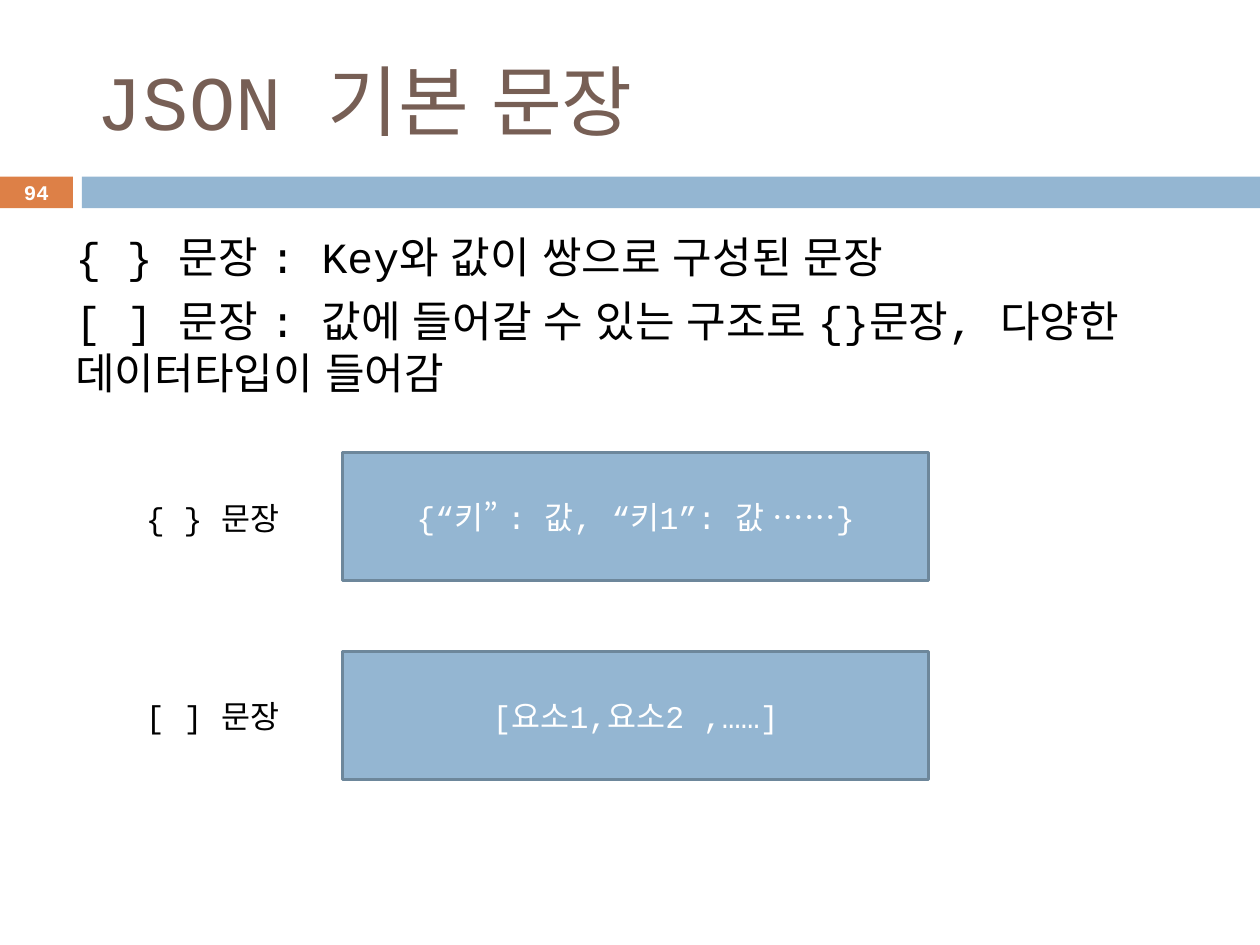
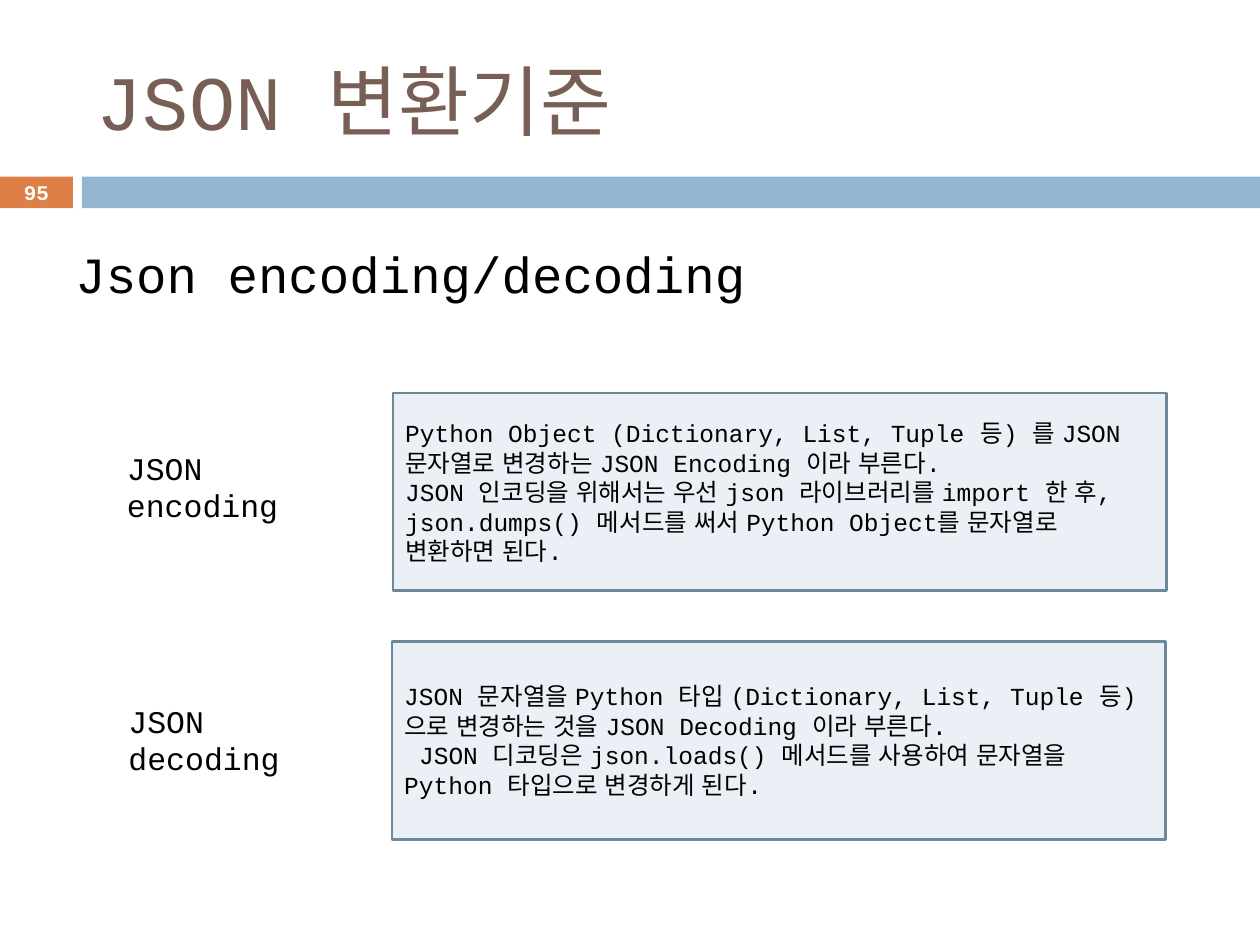
"""Build two slides on JSON sentences and JSON conversion."""
from dataclasses import dataclass

from pptx import Presentation
from pptx import util as u
from pptx.dml.color import RGBColor
from pptx.enum import lang, shapes, text


@dataclass(frozen=True)
class Theme:
    font: str = "Courier New"
    title: str = "775F55"
    ink: str = "000000"
    white: str = "FFFFFF"
    accent: str = "DD8047"
    band: str = "94B6D2"
    pale: str = "EAF0F6"
    border: str = "6D879B"
    title_size: float = 44
    label_size: float = 18
    detail_size: float = 14
    number_size: float = 11.9
    border_width: float = 1.5


@dataclass(frozen=True)
class Place:
    left: float
    top: float
    width: float
    height: float

    def lengths(self) -> list[u.Length]:
        return [u.Cm(n) for n in (self.left, self.top, self.width, self.height)]


@dataclass(frozen=True)
class Style:
    size: float
    color: str
    bold: bool = False
    centered: bool = False
    middle: bool = False
    space_before: float = 0
    line_spacing: float = 1.0


@dataclass(frozen=True)
class Row:
    label: str
    label_place: Place
    lines: tuple[str, ...]
    box_place: Place
    last_indent: float = 0


@dataclass(frozen=True)
class Page:
    number: int
    title: str
    body: tuple[str, ...]
    body_style: Style
    box_fill: str
    box_style: Style
    rows: tuple[Row, ...]


THEME = Theme()
TITLE = Style(THEME.title_size, THEME.title, middle=True)
LABEL = Style(THEME.label_size, THEME.ink)
NUMBER = Style(THEME.number_size, THEME.white, bold=True, centered=True, middle=True)
FORMULA = Style(THEME.label_size, THEME.white, centered=True, middle=True)
DETAIL = Style(THEME.detail_size, THEME.ink, middle=True)

BADGE = Place(0, 3.56, 1.47, 0.64)
BAND = Place(1.65, 3.56, 23.75, 0.64)
NUMBER_PLACE = Place(0, 3.53, 1.47, 0.69)
TITLE_PLACE = Place(1.7, 0.64, 22.66, 2.74)
BODY_PLACE = Place(1.27, 4.52, 22.86, 3.81)

PAGES = (
    Page(
        94,
        "JSON 기본 문장",
        (
            "{ } 문장 : Key와 값이 쌍으로 구성된 문장",
            "[ ] 문장 : 값에 들어갈 수 있는 구조로 {}문장, 다양한 데이터타입이 들어감",
        ),
        Style(24.6, THEME.ink, space_before=7),
        THEME.band,
        FORMULA,
        (
            Row("{ } 문장", Place(2.69, 9.93, 3.81, 1.02),
                ("{“키” : 값, “키1”: 값 ……}",), Place(6.91, 9.12, 11.81, 2.59)),
            Row("[ ] 문장", Place(2.69, 13.92, 3.2, 1.02),
                ("[요소1,요소2 ,……]",), Place(6.91, 13.13, 11.81, 2.59)),
        ),
    ),
    Page(
        95,
        "JSON 변환기준",
        ("Json encoding/decoding",),
        Style(29, THEME.ink, line_spacing=1.2),
        THEME.pale,
        DETAIL,
        (
            Row("JSON encoding", Place(2.31, 8.92, 4.39, 1.8),
                (
                    "Python Object (Dictionary, List, Tuple 등) 를 JSON 문자열로 "
                    "변경하는 JSON Encoding 이라 부른다.",
                    "JSON 인코딩을 위해서는 우선 json 라이브러리를 import 한 후, "
                    "json.dumps() 메서드를 써서 Python Object를 문자열로 변환하면 된다.",
                ), Place(7.92, 7.92, 15.6, 3.99)),
            Row("JSON decoding", Place(2.34, 14.02, 4.39, 1.8),
                (
                    "JSON 문자열을 Python 타입 (Dictionary, List, Tuple 등) 으로 "
                    "변경하는 것을 JSON Decoding 이라 부른다.",
                    "JSON 디코딩은 json.loads() 메서드를 사용하여 문자열을 "
                    "Python 타입으로 변경하게 된다.",
                ), Place(7.9, 12.93, 15.6, 3.99), last_indent=0.3),
        ),
    ),
)


def write(shape, lines: tuple[str, ...], style: Style):
    """Fill a shape with one paragraph per line and return its text frame."""
    frame = shape.text_frame
    frame.word_wrap = True
    frame.vertical_anchor = text.MSO_ANCHOR.MIDDLE if style.middle else text.MSO_ANCHOR.TOP
    for index, line in enumerate(lines):
        para = frame.add_paragraph() if index else frame.paragraphs[0]
        para.alignment = text.PP_ALIGN.CENTER if style.centered else text.PP_ALIGN.LEFT
        para.line_spacing = style.line_spacing
        if index:
            para.space_before = u.Pt(style.space_before)
        span = para.add_run()
        span.text = line
        span.font.name = THEME.font
        span.font.size = u.Pt(style.size)
        span.font.bold = style.bold
        span.font.color.rgb = RGBColor.from_string(style.color)
        span.font.language_id = lang.MSO_LANGUAGE_ID.KOREAN
    return frame


def add_text(slide, place: Place, lines: tuple[str, ...], style: Style) -> None:
    """Add a wrapping text box."""
    write(slide.shapes.add_textbox(*place.lengths()), lines, style)


def add_block(slide, place: Place, fill: str, border: str | None = None):
    """Add a flat rectangle, outlined when a border colour is given."""
    block = slide.shapes.add_shape(shapes.MSO_SHAPE.RECTANGLE, *place.lengths())
    block.shadow.inherit = False
    block.fill.solid()
    block.fill.fore_color.rgb = RGBColor.from_string(fill)
    if border:
        block.line.color.rgb = RGBColor.from_string(border)
        block.line.width = u.Pt(THEME.border_width)
    else:
        block.line.fill.background()
    return block


def add_row(slide, row: Row, page: Page) -> None:
    """Add a label and the box that explains it."""
    box = add_block(slide, row.box_place, page.box_fill, THEME.border)
    frame = write(box, row.lines, page.box_style)
    if row.last_indent:
        properties = frame.paragraphs[-1]._p.get_or_add_pPr()
        properties.set("indent", str(u.Cm(row.last_indent)))
    add_text(slide, row.label_place, (row.label,), LABEL)


def add_page(deck, page: Page) -> None:
    """Add one slide with its band, title, body and rows."""
    slide = deck.slides.add_slide(deck.slide_layouts[6])
    add_block(slide, BADGE, THEME.accent)
    add_block(slide, BAND, THEME.band)
    add_text(slide, TITLE_PLACE, (page.title,), TITLE)
    add_text(slide, BODY_PLACE, page.body, page.body_style)
    for row in page.rows:
        add_row(slide, row, page)
    add_text(slide, NUMBER_PLACE, (str(page.number),), NUMBER)


def main() -> None:
    """Build and save the deck."""
    deck = Presentation()
    deck.slide_width, deck.slide_height = u.Cm(25.4), u.Cm(19.05)
    for page in PAGES:
        add_page(deck, page)
    deck.save("out.pptx")


if __name__ == "__main__":
    main()
